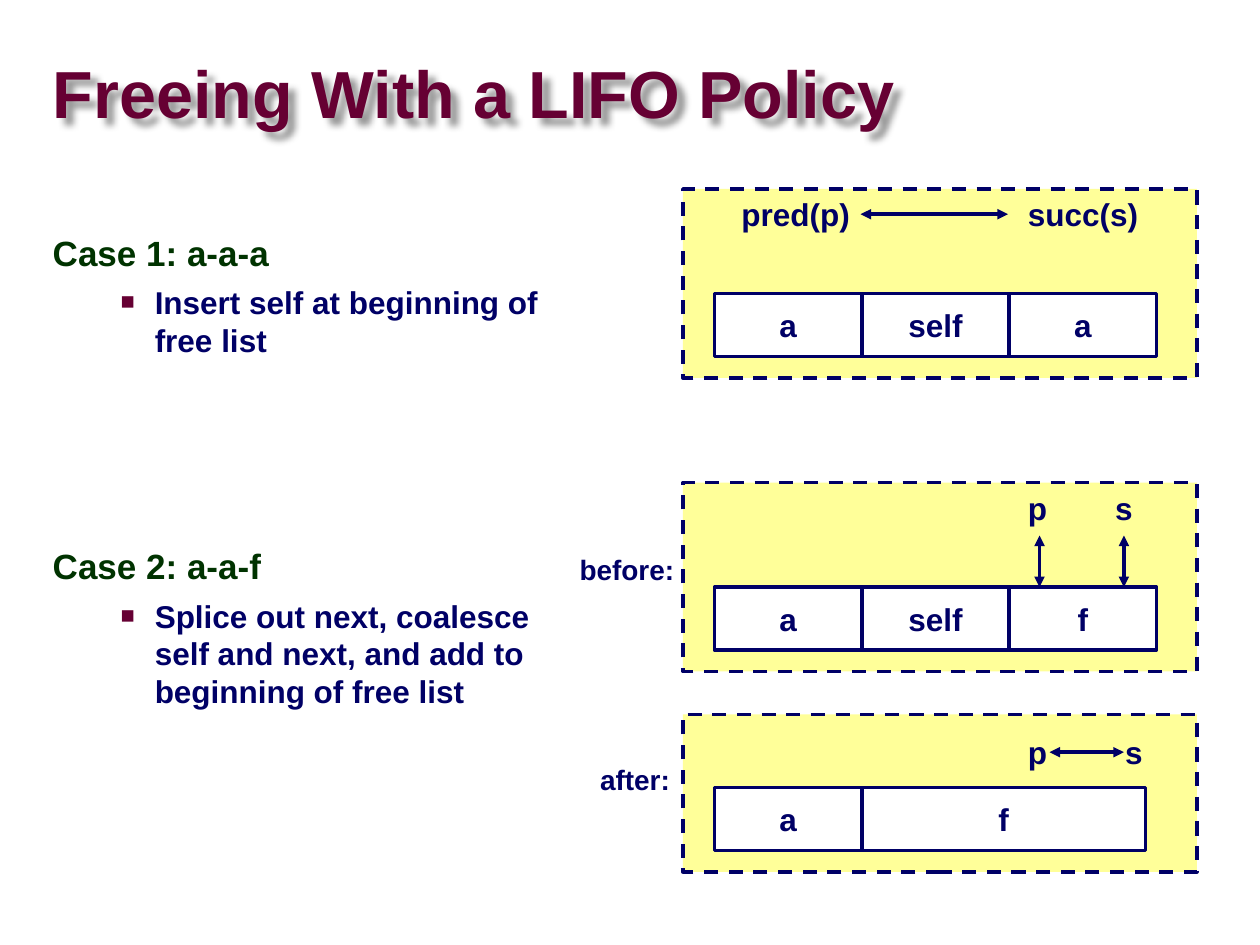
from lxml import etree
from pptx import Presentation
from pptx.dml.color import RGBColor
from pptx.enum.dml import MSO_LINE
from pptx.enum.shapes import MSO_CONNECTOR, MSO_SHAPE
from pptx.enum.text import MSO_ANCHOR, PP_ALIGN
from pptx.oxml.ns import qn
from pptx.util import Inches, Pt

RECTANGLE = MSO_SHAPE.RECTANGLE
STRAIGHT = MSO_CONNECTOR.STRAIGHT
DASH = MSO_LINE.DASH
MIDDLE = MSO_ANCHOR.MIDDLE
CENTER = PP_ALIGN.CENTER

COLORS = {"title": "660033", "case": "003300", "ink": "000066",
          "panel": "FFFF99", "cell": "FFFFFF", "shadow": "000000"}
FONT = "Arial"
CELL_WIDTH, CELL_HEIGHT = 1.17, 0.5
CELL_INSET = 0.25


def color(name):
    return RGBColor.from_string(COLORS[name])


def add_xml(parent, tag, **attributes):
    return etree.SubElement(parent, qn(tag), attributes)


def write(para, text, size, color_name):
    para.text = text
    for span in para.runs:
        span.font.name = FONT
        span.font.size = Pt(size)
        span.font.bold = True
        span.font.color.rgb = color(color_name)


def add_text_box(page, left, top, width, height):
    return page.shapes.add_textbox(Inches(left), Inches(top),
                                   Inches(width), Inches(height))


def center_text(shape, text, size):
    frame = shape.text_frame
    frame.word_wrap = False
    frame.vertical_anchor = MIDDLE
    write(frame.paragraphs[0], text, size, "ink")
    frame.paragraphs[0].alignment = CENTER


def add_label(page, text, left, top, width, height=0.4, size=18):
    center_text(add_text_box(page, left, top, width, height), text, size)


def add_box(page, left, top, width, height, fill):
    box = page.shapes.add_shape(RECTANGLE, Inches(left), Inches(top),
                                Inches(width), Inches(height))
    box.shadow.inherit = False
    box.fill.solid()
    box.fill.fore_color.rgb = color(fill)
    box.line.color.rgb = color("ink")
    box.line.width = Pt(2)
    return box


def add_double_arrow(page, x1, y1, x2, y2):
    arrow = page.shapes.add_connector(STRAIGHT, Inches(x1), Inches(y1),
                                      Inches(x2), Inches(y2))
    arrow.line.color.rgb = color("ink")
    arrow.line.width = Pt(2)
    line = arrow.line._get_or_add_ln()
    add_xml(line, "a:headEnd", type="triangle")
    add_xml(line, "a:tailEnd", type="triangle")
    add_xml(arrow._element.spPr, "a:effectLst")


def add_title(page, left, top, width, height, text):
    box = add_text_box(page, left, top, width, height)
    frame = box.text_frame
    frame.word_wrap = True
    frame.vertical_anchor = MIDDLE
    frame.margin_left = frame.margin_right = 0
    frame.margin_top = frame.margin_bottom = 0
    write(frame.paragraphs[0], text, 38, "title")
    frame.paragraphs[0].line_spacing = 0.87
    # Soft shadow behind the letters
    effects = add_xml(box._element.spPr, "a:effectLst")
    shadow = add_xml(effects, "a:outerShdw", blurRad="50800", dist="63500",
                     dir="2700000", algn="tl", rotWithShape="0")
    tint = add_xml(shadow, "a:srgbClr", val=COLORS["shadow"])
    add_xml(tint, "a:alpha", val="40000")


def add_case(page, left, top, width, height, heading, step):
    frame = add_text_box(page, left, top, width, height).text_frame
    frame.word_wrap = True
    head_para = frame.paragraphs[0]
    write(head_para, heading, 20, "case")
    head_para.line_spacing = 0.95
    # Bulleted step
    step_para = frame.add_paragraph()
    write(step_para, step, 18, "ink")
    step_para.level = 1
    step_para.space_before = Pt(5)
    props = step_para._p.get_or_add_pPr()
    props.set("marL", str(Inches(0.81)))
    props.set("indent", str(Inches(-0.27)))
    add_xml(add_xml(props, "a:buClr"), "a:srgbClr", val=COLORS["title"])
    add_xml(props, "a:buSzPct", val="75000")
    add_xml(props, "a:buFont", typeface=FONT)
    add_xml(props, "a:buChar", char="■")


def add_panel(page, left, top, width, height, row_offset, cells, labels, arrows):
    """Cells are (text, width); labels and arrows are offsets from the panel."""
    add_box(page, left, top, width, height, "panel").line.dash_style = DASH
    # Memory blocks
    cell_left = left + CELL_INSET
    for text, cell_width in cells:
        cell = add_box(page, cell_left, top + row_offset,
                       cell_width, CELL_HEIGHT, "cell")
        center_text(cell, text, 18)
        cell_left += cell_width
    # Neighbours in the free list
    for text, x, y, label_width in labels:
        add_label(page, text, left + x, top + y, label_width)
    for x1, y1, x2, y2 in arrows:
        add_double_arrow(page, left + x1, top + y1, left + x2, top + y2)


deck = Presentation()
deck.slide_width, deck.slide_height = Inches(10), Inches(7.5)
page = deck.slides.add_slide(deck.slide_layouts[6])

add_title(page, 0.42, 0.46, 7.76, 0.63, "Freeing With a LIFO Policy")

# Cases on the left
add_case(page, 0.32, 1.81, 4.21, 1.1, "Case 1: a-a-a",
         "Insert self at beginning of free list")
add_case(page, 0.32, 4.3, 4.21, 1.4, "Case 2: a-a-f",
         "Splice out next, coalesce self and next, and add to "
         "beginning of free list")

# Diagrams on the right
add_panel(page, 5.42, 1.5, 4.08, 1.5, 0.83,
          [(text, CELL_WIDTH) for text in ("a", "self", "a")],
          [("pred(p)", 0.36, 0, 1.07), ("succ(s)", 2.63, 0, 1.09)],
          [(1.41, 0.2, 2.58, 0.2)])
add_panel(page, 5.42, 3.83, 4.08, 1.5, 0.83,
          [(text, CELL_WIDTH) for text in ("a", "self", "f")],
          [("p", 2.64, 0, 0.35), ("s", 3.33, 0, 0.34)],
          [(x, 0.42, x, 0.83) for x in (2.83, 3.5)])
add_panel(page, 5.42, 5.67, 4.08, 1.25, 0.58,
          [("a", CELL_WIDTH), ("f", 2.25)],
          [("p", 2.64, 0.1, 0.35), ("s", 3.41, 0.1, 0.34)],
          [(2.91, 0.3, 3.5, 0.3)])

# Stage names
add_label(page, "before:", 4.5, 4.33, 0.95, 0.37, 16)
add_label(page, "after:", 4.66, 6, 0.76, 0.37, 16)

deck.save("out.pptx")
